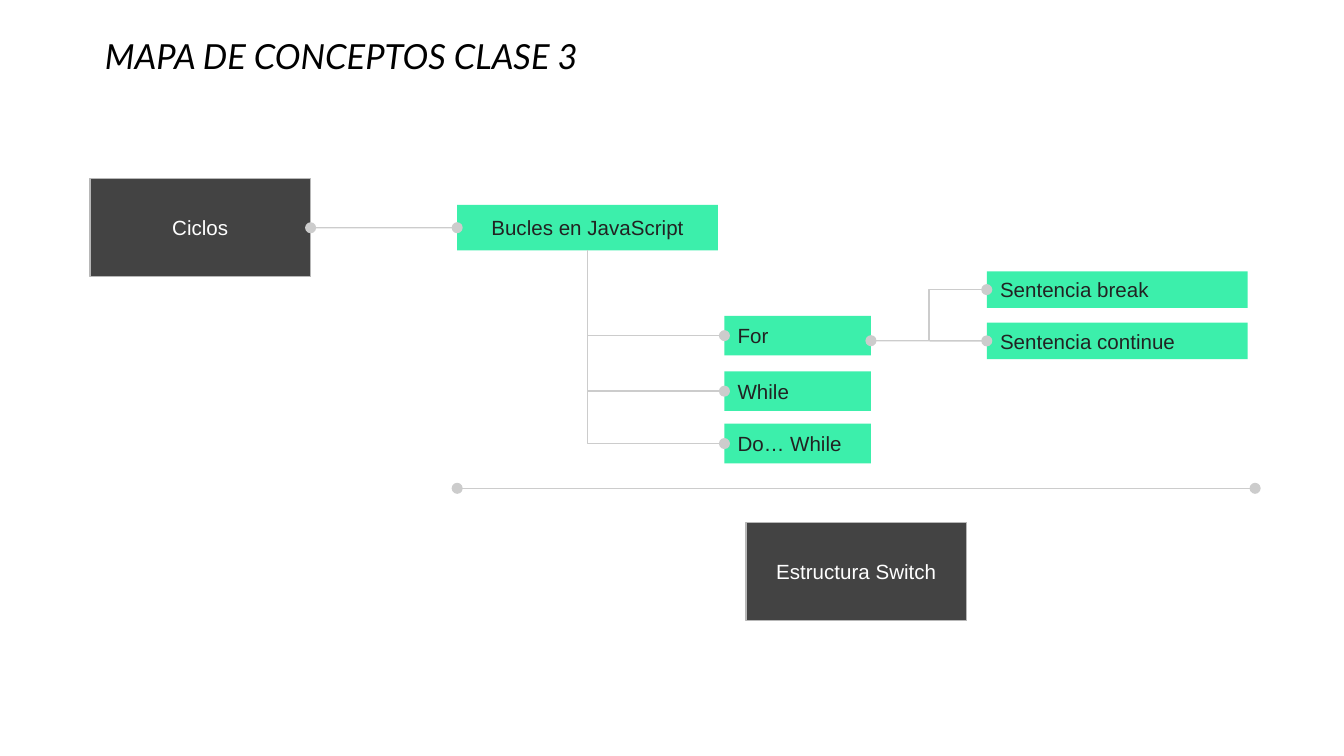
from dataclasses import dataclass

from lxml.etree import SubElement
from pptx import Presentation
from pptx.dml.color import RGBColor
from pptx.enum.shapes import MSO_CONNECTOR as Link, MSO_SHAPE as Preset
from pptx.enum.text import MSO_ANCHOR as Anchor, MSO_AUTO_SIZE as AutoSize, PP_ALIGN as Align
from pptx.oxml.ns import qn
from pptx.util import Cm, Pt


@dataclass(frozen=True)
class Theme:
    dark: RGBColor = RGBColor(0x43, 0x43, 0x43)
    border: RGBColor = RGBColor(0xB7, 0xB7, 0xB7)
    green: RGBColor = RGBColor(0x3C, 0xEF, 0xAB)
    link: RGBColor = RGBColor(0xCC, 0xCC, 0xCC)
    ink: RGBColor = RGBColor(0x22, 0x22, 0x22)
    white: RGBColor = RGBColor(0xFF, 0xFF, 0xFF)
    black: RGBColor = RGBColor(0, 0, 0)
    title_font: str = "Lato"
    body_font: str = "Arial"
    title_size: Pt = Pt(18.5)
    body_size: Pt = Pt(11)
    stroke: Pt = Pt(0.75)


THEME = Theme()
TOPIC_SIZE = (4.17, 1.85)
INSET = 0.25


def set_frame(frame, anchor):
    frame.word_wrap = True
    frame.auto_size = AutoSize.NONE
    frame.vertical_anchor = anchor
    frame.margin_left = frame.margin_right = Cm(INSET)
    frame.margin_top = frame.margin_bottom = Cm(INSET)


def format_text(paragraph, font_name, size, color, align):
    paragraph.alignment = align
    for run in paragraph.runs:
        run.font.name = font_name
        run.font.size = size
        run.font.color.rgb = color


def add_block(slide, label, box, fill, ink, align):
    block = slide.shapes.add_shape(Preset.RECTANGLE, *map(Cm, box))
    block.shadow.inherit = False
    block.fill.solid()
    block.fill.fore_color.rgb = fill
    block.line.fill.background()
    set_frame(block.text_frame, Anchor.MIDDLE)
    block.text_frame.text = label
    format_text(block.text_frame.paragraphs[0], THEME.body_font, THEME.body_size, ink, align)
    return block


def add_topic(slide, label, box):
    topic = add_block(slide, label, box, THEME.dark, THEME.white, Align.CENTER)
    topic.line.color.rgb = THEME.border
    topic.line.width = THEME.stroke
    return topic


def add_concept(slide, label, box, align=Align.LEFT):
    return add_block(slide, label, box, THEME.green, THEME.ink, align)


def add_link(slide, kind, start, end, dots=("headEnd", "tailEnd")):
    """Draw a thin grey link with round dots at the named ends."""
    link = slide.shapes.add_connector(kind, *map(Cm, start + end))
    link.line.color.rgb = THEME.link
    link.line.width = THEME.stroke
    outline = link.line._get_or_add_ln()
    for dot in dots:
        SubElement(outline, qn(f"a:{dot}"), type="oval")
    SubElement(link._element.spPr, qn("a:effectLst"))
    return link


def add_branch(slide, start, end):
    """Draw a one-bend link that goes down first and then right."""
    run, drop = end[0] - start[0], end[1] - start[1]
    center_x, center_y = start[0] + run / 2, start[1] + drop / 2
    # The preset goes across first, so it is mirrored and turned a quarter.
    left, top = center_x - drop / 2, center_y - run / 2
    branch = add_link(slide, Link.ELBOW, (left, top), (left + drop, top + run), ("tailEnd",))
    properties = branch._element.spPr
    properties.find(qn("a:prstGeom")).set("prst", "bentConnector2")
    frame = properties.find(qn("a:xfrm"))
    frame.set("rot", str(270 * 60000))
    frame.set("flipH", "1")


def add_title(slide, label, box):
    title = slide.shapes.title
    title.left, title.top, title.width, title.height = map(Cm, box)
    set_frame(title.text_frame, Anchor.TOP)
    title.text_frame.text = label
    heading = title.text_frame.paragraphs[0]
    heading.line_spacing = 0.8
    format_text(heading, THEME.title_font, THEME.title_size, THEME.black, Align.LEFT)
    heading.runs[0].font.italic = True


def add_cycles_map(slide, box):
    left, top, width, _ = box
    cycles = add_topic(slide, "Ciclos", (left, top, *TOPIC_SIZE))
    cycles_mid = top + TOPIC_SIZE[1] / 2

    wide, bar_height = 4.93, 0.86
    loops_left = left + 6.94
    loops = add_concept(slide, "Bucles en JavaScript",
                        (loops_left, cycles_mid - bar_height / 2, wide, bar_height), Align.CENTER)
    to_loops = add_link(slide, Link.STRAIGHT, (left + TOPIC_SIZE[0], cycles_mid),
                        (loops_left, cycles_mid))
    to_loops.begin_connect(cycles, 3)
    to_loops.end_connect(loops, 1)

    trunk = (loops_left + wide / 2, cycles_mid + bar_height / 2)
    kind_left, kind_width, kind_height = left + 11.99, 2.77, 0.75
    for label, offset in (("For", 2.59), ("While", 3.64), ("Do… While", 4.63)):
        kind_top = top + offset
        add_concept(slide, label, (kind_left, kind_top, kind_width, kind_height))
        add_branch(slide, trunk, (kind_left, kind_top + kind_height / 2))

    statement_height = 0.69
    statement_left = left + width - wide
    fork = (kind_left + kind_width, top + 3.06)
    for label, offset, kind in (("Sentencia continue", 2.72, Link.STRAIGHT),
                                ("Sentencia break", 1.75, Link.ELBOW)):
        statement_top = top + offset
        statement = add_concept(slide, label,
                                (statement_left, statement_top, wide, statement_height))
        dots = ("headEnd", "tailEnd") if kind == Link.STRAIGHT else ("tailEnd",)
        link = add_link(slide, kind, fork,
                        (statement_left, statement_top + statement_height / 2), dots)
        if kind == Link.STRAIGHT:
            link.end_connect(statement, 1)


def add_switch_section(slide, box):
    """Draw the dividing line along the top and the topic below it."""
    left, top, width, height = box
    add_link(slide, Link.STRAIGHT, (left + width, top), (left, top))
    add_topic(slide, "Estructura Switch",
              (left + 5.46, top + height - TOPIC_SIZE[1], *TOPIC_SIZE))


def main():
    deck = Presentation()
    deck.slide_width, deck.slide_height = Cm(25.4), Cm(14.29)
    slide = deck.slides.add_slide(deck.slide_layouts[5])
    add_title(slide, "MAPA DE CONCEPTOS CLASE 3", (1.73, 0.56, 19.74, 1.17))
    add_cycles_map(slide, (1.7, 3.38, 21.88, 5.38))
    add_switch_section(slide, (8.64, 9.23, 15.08, 2.5))
    deck.save("out.pptx")


if __name__ == "__main__":
    main()
